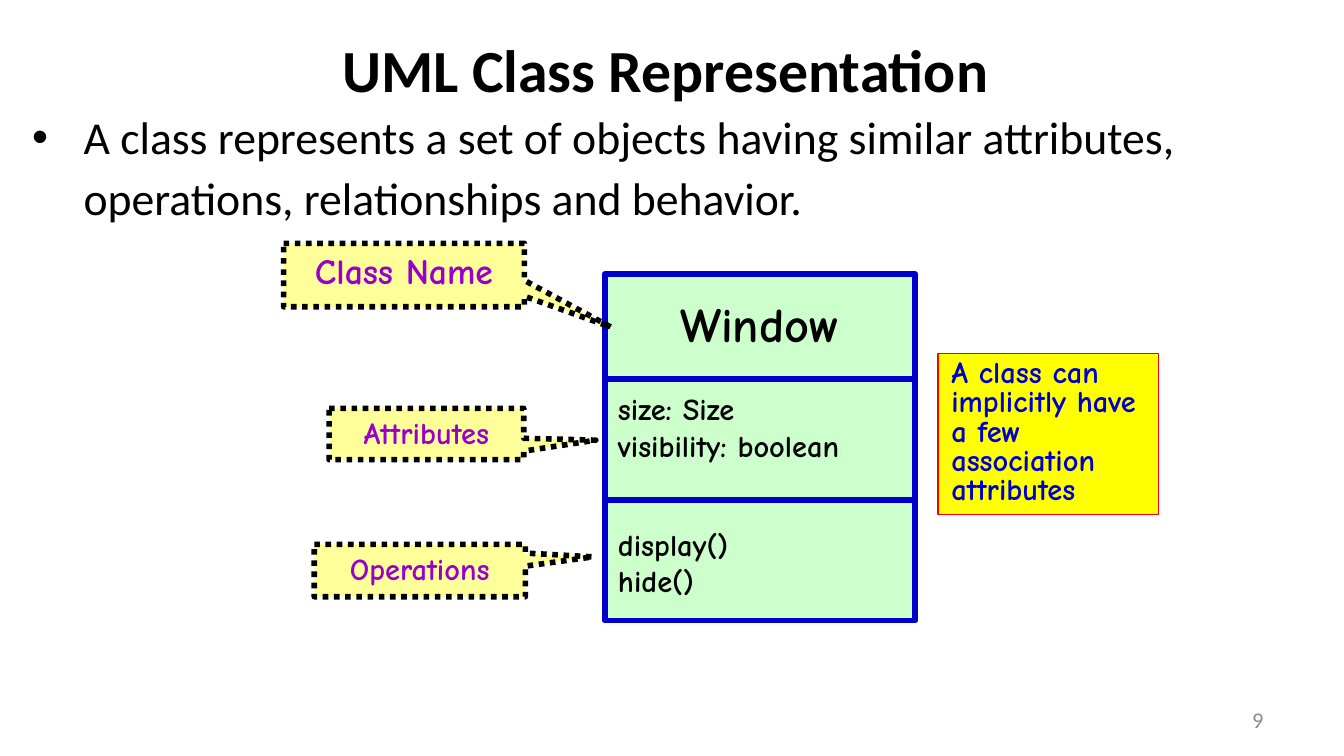
from copy import deepcopy
from dataclasses import dataclass

from lxml import etree
from pptx import Presentation
from pptx.dml.color import RGBColor
from pptx.enum.dml import MSO_LINE
from pptx.enum.shapes import MSO_CONNECTOR, MSO_SHAPE
from pptx.enum.text import MSO_ANCHOR, PP_ALIGN
from pptx.oxml.ns import qn
from pptx.util import Cm, Pt

RECT, CALLOUT = MSO_SHAPE.RECTANGLE, MSO_SHAPE.RECTANGULAR_CALLOUT
STRAIGHT, DOTTED = MSO_CONNECTOR.STRAIGHT, MSO_LINE.ROUND_DOT
LEFT, CENTER, RIGHT = PP_ALIGN.LEFT, PP_ALIGN.CENTER, PP_ALIGN.RIGHT
TOP, MIDDLE = MSO_ANCHOR.TOP, MSO_ANCHOR.MIDDLE

BLACK = RGBColor(0x00, 0x00, 0x00)
GRAY = RGBColor(0x8C, 0x8C, 0x8C)
BLUE = RGBColor(0x00, 0x00, 0xCC)
PURPLE = RGBColor(0x99, 0x00, 0xCC)
RED = RGBColor(0xFF, 0x00, 0x00)
GREEN = RGBColor(0xCC, 0xFF, 0xCC)
CREAM = RGBColor(0xFF, 0xFF, 0x99)
YELLOW = RGBColor(0xFF, 0xFF, 0x00)

BODY_FONT, DIAGRAM_FONT = "Calibri", "Comic Neue"
DEFAULT_INSETS = (0.25, 0.13)
SMALL_INSETS = (0.18, 0.1)


@dataclass
class Box:
    left: float
    top: float
    width: float
    height: float

    def lengths(self) -> tuple:
        return Cm(self.left), Cm(self.top), Cm(self.width), Cm(self.height)


@dataclass
class Callout:
    text: str
    box: Box
    tip: tuple[float, float]
    size: float = 16.3


@dataclass
class Compartment:
    text: str
    box: Box
    size: float = 16.3
    align: int = LEFT
    anchor: int = MIDDLE
    insets: tuple[float, float] = (0, 0)


def write(sp, text: str, *, size: float, color: RGBColor = BLACK,
          font: str = DIAGRAM_FONT, bold: bool = True, align=LEFT, anchor=TOP,
          insets: tuple[float, float] = DEFAULT_INSETS, spacing: float = 1.0):
    """Fill a shape with one formatted paragraph and return the paragraph."""
    tf = sp.text_frame
    tf.word_wrap = True
    tf.vertical_anchor = anchor
    tf.margin_left = tf.margin_right = Cm(insets[0])
    tf.margin_top = tf.margin_bottom = Cm(insets[1])
    p = tf.paragraphs[0]
    p.text = text.replace("\n", "\v")
    p.alignment = align
    p.line_spacing = spacing
    p.space_before = Pt(0)
    for r in p.runs:
        r.font.name, r.font.size, r.font.bold = font, Pt(size), bold
        r.font.color.rgb = color
    # Line breaks take the format of the text around them
    for br in p._p.findall(qn("a:br")):
        br.append(deepcopy(p.runs[0]._r.rPr))
    return p


def add_box(s, kind, box: Box, fill: RGBColor, line: RGBColor, width: float):
    sp = s.shapes.add_shape(kind, *box.lengths())
    sp.shadow.inherit = False
    sp.fill.solid()
    sp.fill.fore_color.rgb = fill
    sp.line.color.rgb = line
    sp.line.width = Pt(width)
    return sp


def add_text(s, box: Box, text: str, **fmt):
    return write(s.shapes.add_textbox(*box.lengths()), text, **fmt)


def add_divider(s, box: Box, y: float) -> None:
    line = s.shapes.add_connector(STRAIGHT, Cm(box.left), Cm(y),
                                  Cm(box.left + box.width), Cm(y))
    line.line.color.rgb = BLUE
    line.line.width = Pt(3)
    etree.SubElement(line._element.spPr, qn("a:effectLst"))


def add_callout(s, callout: Callout) -> None:
    sp = add_box(s, CALLOUT, callout.box, CREAM, BLACK, 3)
    sp.line.dash_style = DOTTED
    sp.adjustments[0], sp.adjustments[1] = callout.tip
    write(sp, callout.text, size=callout.size, color=PURPLE, align=CENTER,
          insets=SMALL_INSETS)


def add_bullet(p, indent: float) -> None:
    pPr = p._p.get_or_add_pPr()
    pPr.set("marL", str(Cm(indent)))
    pPr.set("indent", str(-Cm(indent)))
    etree.SubElement(pPr, qn("a:buFont"), typeface="Arial")
    etree.SubElement(pPr, qn("a:buChar"), char="•")


CLASS_BOX = Box(11.43, 5.18, 5.87, 6.55)
DIVIDERS = (7.16, 9.45)
COMPARTMENTS = (
    Compartment("Window", Box(11.68, 5.46, 5.36, 1.3), 25.9, CENTER, TOP,
                SMALL_INSETS),
    Compartment("size: Size\nvisibility: boolean", Box(11.68, 7.37, 5.36, 1.4)),
    Compartment("display()\nhide()", Box(11.68, 9.93, 5.36, 1.4)),
)
CALLOUTS = (
    Callout("Class Name", Box(5.36, 4.6, 4.55, 1.2), (0.86, 0.82), 19.1),
    Callout("Attributes", Box(6.22, 7.72, 3.68, 0.97), (0.87, 0.12)),
    Callout("Operations", Box(5.94, 10.29, 3.99, 0.99), (0.82, -0.26)),
)


def main() -> None:
    prs = Presentation()
    prs.slide_width, prs.slide_height = Cm(25.4), Cm(14.29)
    s = prs.slides.add_slide(prs.slide_layouts[5])

    # Title and definition
    title = s.shapes.title
    title.left, title.top, title.width, title.height = Box(
        4.45, 0.53, 16.26, 1.52).lengths()
    write(title, "UML Class Representation", size=32, font=BODY_FONT,
          align=CENTER, anchor=MIDDLE)
    p = add_text(s, Box(0.36, 1.83, 24.97, 3.94),
                 "A class represents a set of objects having similar attributes, "
                 "operations, relationships and behavior.",
                 size=24.5, font=BODY_FONT, bold=False, spacing=1.1)
    add_bullet(p, 0.97)

    # Class with its three compartments
    add_box(s, RECT, CLASS_BOX, GREEN, BLUE, 3)
    for y in DIVIDERS:
        add_divider(s, CLASS_BOX, y)
    for c in COMPARTMENTS:
        add_text(s, c.box, c.text, size=c.size, align=c.align,
                 anchor=c.anchor, insets=c.insets)

    # Callouts that name the compartments
    for callout in CALLOUTS:
        add_callout(s, callout)

    # Side note
    note = add_box(s, RECT, Box(17.73, 6.68, 4.17, 3.05), YELLOW, RED, 0.75)
    write(note, "A class can implicitly have a few association attributes",
          size=16.3, color=BLUE, spacing=0.8)

    # Slide number
    add_text(s, Box(18.21, 13.23, 5.92, 0.76), "9", size=12, color=GRAY,
             font=BODY_FONT, bold=False, align=RIGHT, anchor=MIDDLE)

    prs.save("out.pptx")


if __name__ == "__main__":
    main()
